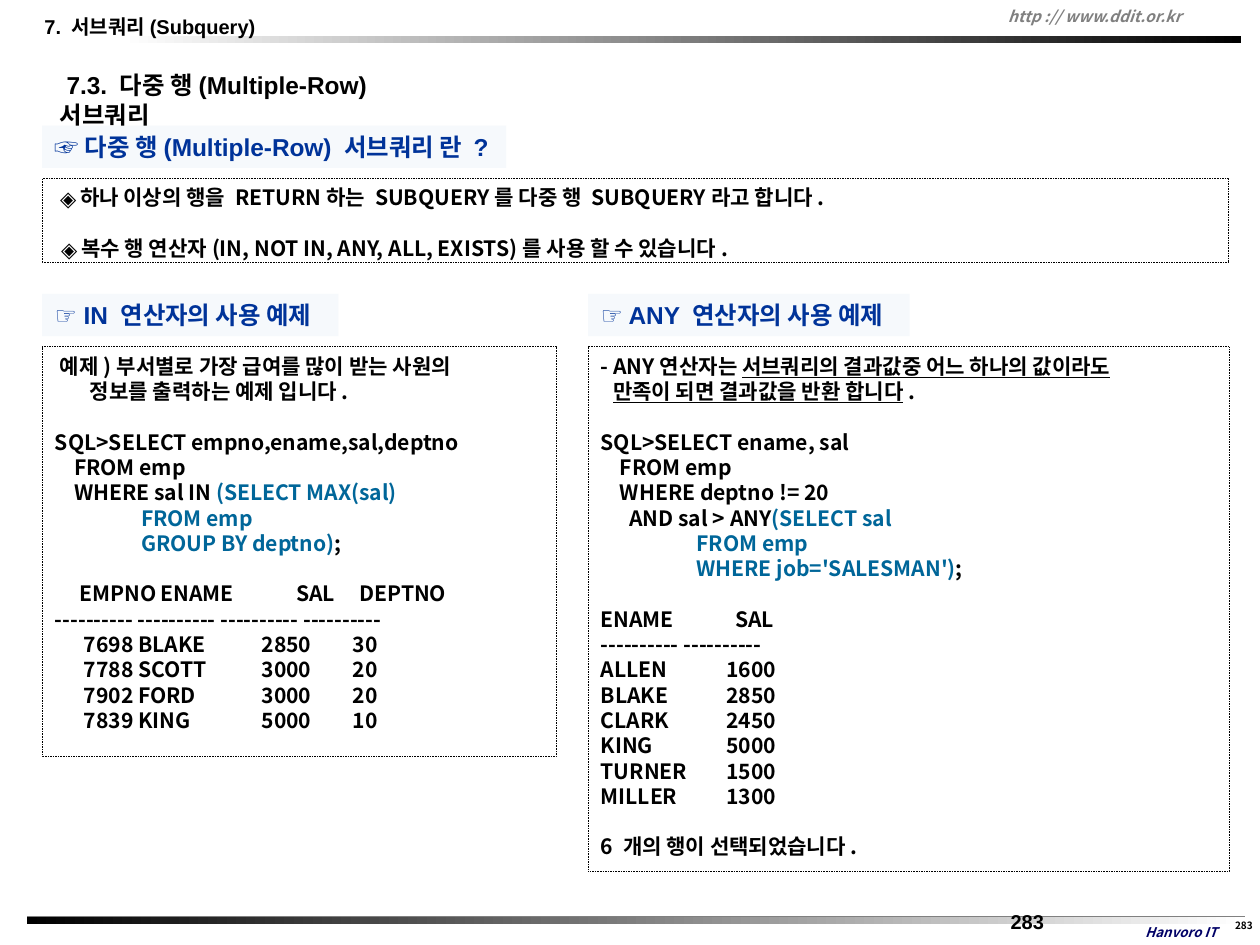
import pptx
import pptx.util
import pptx.dml.color
import pptx.enum.dml
import pptx.enum.shapes
import pptx.enum.text
import pptx.oxml.ns
from lxml import etree

Pt = pptx.util.Pt
RGBColor = pptx.dml.color.RGBColor
Align = pptx.enum.text.PP_ALIGN
Rect = pptx.enum.shapes.MSO_SHAPE.RECTANGLE

BLACK = RGBColor(0, 0, 0)
WHITE = RGBColor(255, 255, 255)
GREY = RGBColor(0x80, 0x80, 0x80)
NAVY = RGBColor(0, 0, 0x66)
BLUE = RGBColor(0, 0x33, 0x99)
TEAL = RGBColor(0, 0x66, 0x99)
PALE = RGBColor(0xF6, 0xF9, 0xFC)
SANS, NOTO = "Arial", "Noto Sans CJK KR"
LINE = 22.75

INTRO = [
    dict(text="하나 이상의 행을 RETURN하는 SUBQUERY를 다중 행 SUBQUERY라고 합니다.",
         left=22.5, first=-18, mark="◈"),
    dict(text="복수 행 연산자(IN, NOT IN, ANY, ALL, EXISTS)를 사용 할 수 있습니다.",
         left=23.5, first=-18, mark="◈", gap=LINE),
]
IN_HEAD = (22, 95, 217, 274)
IN_TABS = (26, 75, 186, 268)
IN_ROWS = ["7698\tBLAKE\t2850\t30", "7788\tSCOTT\t3000\t20",
           "7902\tFORD\t3000\t20", "7839\tKING\t5000\t10"]
IN_TEXT = [
    dict(text=["예제)부서별로 가장 급여를 많이 받는 사원의", "\n", "정보를 출력하는 예제 입니다."],
         left=31.5, first=-27),
    dict(text="SQL>SELECT empno,ename,sal,deptno", gap=LINE),
    dict(text="    FROM emp"),
    dict(text=["    WHERE sal IN ", ("(SELECT MAX(sal)", TEAL)]),
    dict(text="                  FROM emp", color=TEAL),
    dict(text=[("                  GROUP BY deptno)", TEAL), ";"]),
    dict(text="\tEMPNO\tENAME\tSAL\tDEPTNO", tabs=IN_HEAD, gap=LINE),
    dict(text=" ".join(["-" * 10] * 4)),
] + [dict(text="\t" + row, tabs=IN_TABS) for row in IN_ROWS]

ANY_HEAD, ANY_TABS = (121,), (113,)
ANY_ROWS = ["ALLEN\t1600", "BLAKE\t2850", "CLARK\t2450",
            "KING\t5000", "TURNER\t1500", "MILLER\t1300"]
ANY_TEXT = [
    dict(text=["- ANY연산자는 ", ("서브쿼리의 결과값중 어느 하나의 값이라도", None), "\n",
               ("만족이 되면 결과값을 반환 합니다", None), "."], left=11, first=-11),
    dict(text="SQL>SELECT ename, sal", gap=LINE),
    dict(text="    FROM emp"),
    dict(text="    WHERE deptno != 20"),
    dict(text=["      AND sal > ANY", ("(SELECT sal", TEAL)]),
    dict(text="                    FROM emp", color=TEAL),
    dict(text=[("                    WHERE job='SALESMAN')", TEAL), ";"]),
    dict(text="ENAME\tSAL", tabs=ANY_HEAD, gap=LINE),
    dict(text=" ".join(["-" * 10] * 2)),
] + [dict(text=row, tabs=ANY_TABS) for row in ANY_ROWS] + [
    dict(text="6 개의 행이 선택되었습니다.", gap=LINE),
]


def add_node(parent, tag, **attrs):
    """Append a drawing element to its parent."""
    return etree.SubElement(parent, pptx.oxml.ns.qn(tag), **attrs)


def fill_para(para, text, size, face=NOTO, color=BLACK, italic=False, align=Align.LEFT,
              left=0, first=0, mark=None, tabs=(), gap=0, pitch=None):
    """Write one paragraph; a styled part is coloured, or underlined if it has no colour."""
    para.alignment = align
    props = para._p.get_or_add_pPr()
    if left or first:
        props.set("marL", str(Pt(left)))
        props.set("indent", str(Pt(first)))
    if mark:
        add_node(props, "a:buFont", typeface=NOTO)
        add_node(props, "a:buChar", char=mark)
    if tabs:
        stops = add_node(props, "a:tabLst")
        for stop in tabs:
            add_node(stops, "a:tab", pos=str(Pt(stop)), algn="l")
    if pitch:
        para.line_spacing = Pt(pitch)
    if gap:
        para.space_before = Pt(gap)
    font = para.font
    font.size, font.name, font.bold, font.italic = Pt(size), face, True, italic
    font.color.rgb = color
    add_node(props.find(pptx.oxml.ns.qn("a:defRPr")), "a:ea", typeface=NOTO)
    for part in [text] if isinstance(text, str) else text:
        if part == "\n":
            para.add_line_break()
            continue
        run = para.add_run()
        if isinstance(part, str):
            run.text = part
            continue
        run.text, tint = part
        if tint is None:
            run.font.underline = True
        else:
            run.font.color.rgb = tint


def set_frame(shape, pad=(11.5, 5.8, 0, 0), middle=False):
    """Set margins, wrapping and anchor, and give back the text frame."""
    frame = shape.text_frame
    frame.word_wrap = True
    frame.margin_left, frame.margin_top, frame.margin_right, frame.margin_bottom = map(Pt, pad)
    anchor = pptx.enum.text.MSO_ANCHOR
    frame.vertical_anchor = anchor.MIDDLE if middle else anchor.TOP
    return frame


def add_text(slide, box, text, size, pad=(11.5, 5.8, 0, 0), middle=False, **style):
    """Place a text box with one paragraph."""
    shape = slide.shapes.add_textbox(*map(Pt, box))
    fill_para(set_frame(shape, pad, middle).paragraphs[0], text, size, **style)


def add_box(slide, box):
    """Place a plain rectangle with neither line nor shadow."""
    shape = slide.shapes.add_shape(Rect, *map(Pt, box))
    shape.shadow.inherit = False
    shape.line.fill.background()
    return shape


def add_bar(slide, box, start, end):
    """Place a bar that fades from left to right."""
    fill = add_box(slide, box).fill
    fill.gradient()
    fill.gradient_angle = 0
    for stop, color in zip(fill.gradient_stops, (start, end)):
        stop.color.rgb = color


def add_label(slide, box, text):
    """Place a pale heading label."""
    shape = add_box(slide, box)
    shape.fill.solid()
    shape.fill.fore_color.rgb = PALE
    fill_para(set_frame(shape).paragraphs[0], text, 22, face=SANS, color=BLUE)


def add_panel(slide, box, lines):
    """Place a dotted panel with lines of text."""
    shape = add_box(slide, box)
    shape.fill.background()
    shape.line.color.rgb = BLACK
    shape.line.width = Pt(0.75)
    shape.line.dash_style = pptx.enum.dml.MSO_LINE.ROUND_DOT
    frame = set_frame(shape)
    for index, line in enumerate(lines):
        para = frame.add_paragraph() if index else frame.paragraphs[0]
        fill_para(para, size=19, pitch=LINE, **line)


def add_part(slide, box, title, width, lines):
    """Place a label and the panel below it."""
    x, y, w, h = box
    add_label(slide, (x, y, width, 38), title)
    add_panel(slide, (x, y + 47.5, w, h - 47.5), lines)


def add_header(slide, box):
    """Place the chapter name, web address and bar at the top."""
    x, y, w, h = box
    add_bar(slide, (x + 85.5, y + 32.5, w - 85.5, 6.5), WHITE, BLACK)
    add_text(slide, (x + 876, y + 1.5, 231, 27), "http :// www.ddit.or.kr", 14,
             pad=(7.2, 3.6, 7.2, 3.6), middle=True, color=GREY, italic=True)
    add_text(slide, (x - 0.5, y + 7.5, 220, 33), "7. 서브쿼리(Subquery)", 18, face=SANS, first=5)


def add_footer(slide, box):
    """Place the bar, school name and page numbers at the bottom."""
    x, y, w, h = box
    line = slide.shapes.add_connector(pptx.enum.shapes.MSO_CONNECTOR.STRAIGHT,
                                      Pt(x), Pt(y), Pt(x + w), Pt(y))
    line.line.color.rgb = GREY
    line.line.width = Pt(1.5)
    add_node(line._element.spPr, "a:effectLst")
    add_bar(slide, (x, y, w, 6.5), BLACK, WHITE)
    add_text(slide, (x + 970, y + 1.5, 137, 24), "Hanvoro IT", 12, pad=(7.2, 3.6, 7.2, 3.6),
             middle=True, color=NAVY, italic=True, align=Align.CENTER)
    add_text(slide, (x + 1085, y - 1.5, 20, 22), "283", 9, pad=(0, 3.6, 0, 0),
             align=Align.CENTER)
    add_text(slide, (x + 873.5, y - 12, 100, 36), "283", 18, face=SANS)


def main():
    """Build the slide and save it."""
    deck = pptx.Presentation()
    deck.slide_width, deck.slide_height = Pt(1134), Pt(850.32)
    slide = deck.slides.add_slide(deck.slide_layouts[6])
    add_header(slide, (24, 0, 1093, 41))
    add_footer(slide, (24.5, 825, 1096, 25))
    add_text(slide, (42.5, 56.5, 391, 60), ["7.3. 다중 행(Multiple-Row)", "\n", "서브쿼리"], 22,
             face=SANS, first=6, pitch=27)
    add_part(slide, (38, 113, 1068, 123.5), "☞ 다중 행(Multiple-Row) 서브쿼리 란 ?", 417.5, INTRO)
    add_part(slide, (38, 264.5, 463, 416), "☞ IN 연산자의 사용 예제", 266.5, IN_TEXT)
    add_part(slide, (529.2, 264.5, 577, 520), "☞ ANY 연산자의 사용 예제", 289.5, ANY_TEXT)
    deck.save("out.pptx")


if __name__ == "__main__":
    main()
